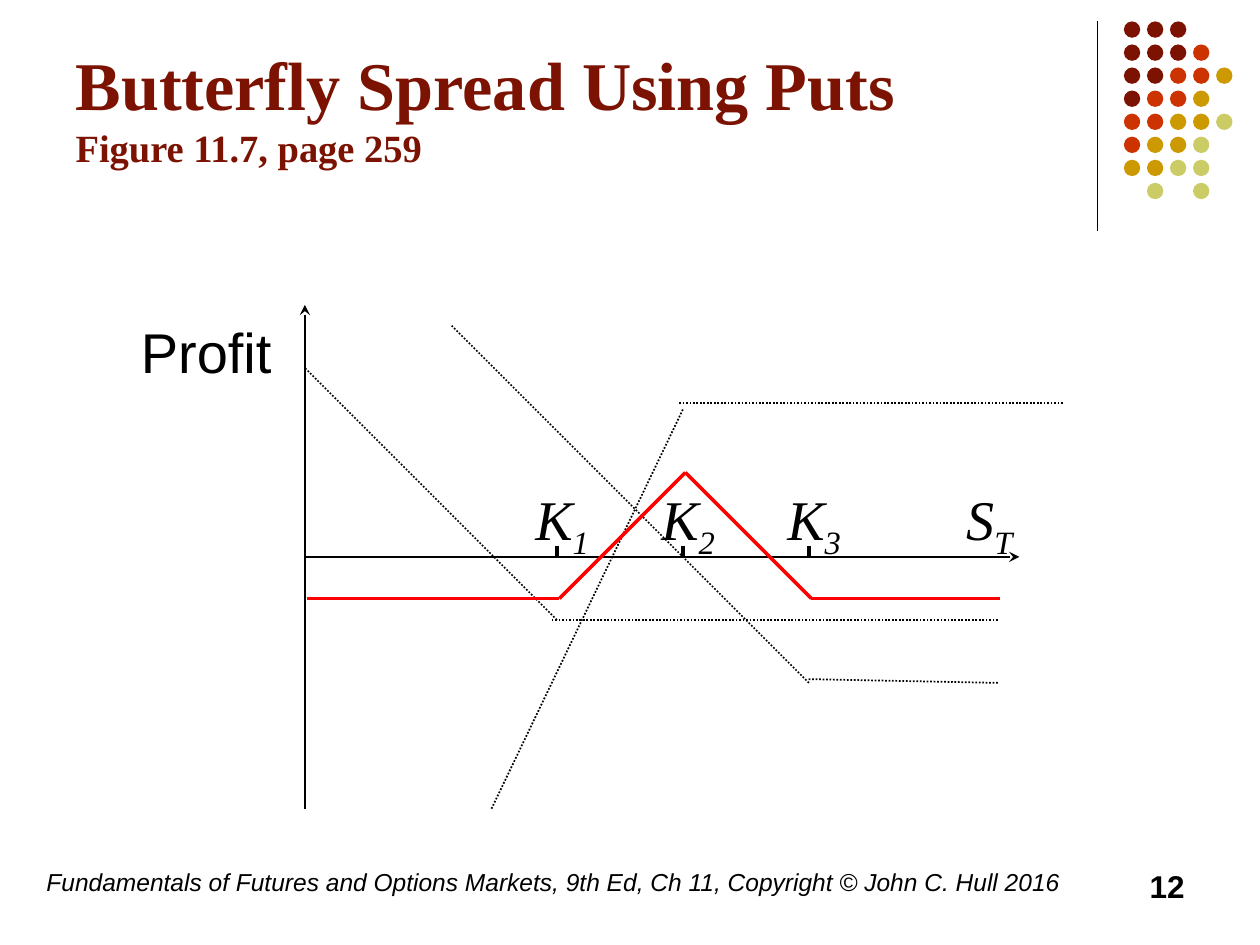
from pptx import Presentation
from pptx.dml.color import RGBColor
from pptx.enum.dml import MSO_LINE
from pptx.enum.shapes import MSO_CONNECTOR, MSO_SHAPE
from pptx.enum.text import MSO_ANCHOR, MSO_AUTO_SIZE, PP_ALIGN
from pptx.oxml.ns import qn
from pptx.util import Inches, Pt
from lxml.etree import SubElement

SERIF, SANS = "Times New Roman", "Arial"
BLACK, MAROON, RED = "000000", "7C1302", "FF0000"

TITLE = [("Butterfly Spread Using Puts", 39), ("Figure 11.7, page 259", 22)]
FOOTER = ("Fundamentals of Futures and Options Markets, 9th Ed, Ch 11, "
          "Copyright © John C. Hull 2016")
PAGE_NUMBER = "12"

# One letter per dot, a space for a gap
DOT_COLORS = {"m": MAROON, "r": "CC3300", "g": "CC9900", "y": "CCCC66"}
DOT_ROWS = ["mmm", "mmmr", "mmrrg", "mrrg", "rrggy", "rggy", "ggyy", " y y"]
DOT_LEFT, DOT_TOP, DOT_PITCH, DOT_SIZE = 8.92, 0.17, 0.183, 0.13

ORIGIN_X, AXIS_Y = 2.42, 4.42
STRIKES = {"1": 4.42, "2": 5.42, "3": 6.42}
AXIS_LABELS = [("K", strike, x - 0.27, 0.64) for strike, x in STRIKES.items()]
AXIS_LABELS.append(("S", "T", 7.57, 0.59))

PUT_PAYOFFS = [
    [(7.92, 4.92), (4.38, 4.92)], [(4.42, 4.92), (ORIGIN_X, 2.92)],
    [(7.92, 5.42), (6.41, 5.39)], [(6.42, 5.42), (3.58, 2.58)],
    [(5.39, 3.2), (8.44, 3.2)], [(5.42, 3.25), (3.9, 6.42)],
]
SPREAD_PROFIT = [(2.44, 4.75), (4.44, 4.75), (5.44, 3.75),
                 (6.44, 4.75), (7.94, 4.75)]

prs = Presentation()
prs.slide_width, prs.slide_height = Inches(10), Inches(7.5)
slide = prs.slides.add_slide(prs.slide_layouts[5])


def rgb(color):
    return RGBColor.from_string(color)


def add_line(start, end, width=1, color=BLACK, dotted=False, arrow=None):
    """Draw a line; arrow is 'headEnd' (at start) or 'tailEnd' (at end)."""
    line = slide.shapes.add_connector(
        MSO_CONNECTOR.STRAIGHT, *[Inches(v) for v in (*start, *end)])
    line.line.width = Pt(width)
    line.line.color.rgb = rgb(color)
    if dotted:
        line.line.dash_style = MSO_LINE.ROUND_DOT
    properties = line._element.spPr
    if arrow:
        SubElement(properties.find(qn("a:ln")), qn("a:" + arrow), type="stealth")
    SubElement(properties, qn("a:effectLst"))


def add_run(paragraph, text, size, font=SANS, color=BLACK, bold=False, italic=False):
    run = paragraph.add_run()
    run.text = text
    run.font.name, run.font.size = font, Pt(size)
    run.font.bold, run.font.italic = bold, italic
    run.font.color.rgb = rgb(color)
    return run


def add_text_box(left, top, width, height, wrap=True):
    """Add an empty text box and return its first paragraph."""
    box = slide.shapes.add_textbox(*[Inches(v) for v in (left, top, width, height)])
    box.text_frame.word_wrap = wrap
    return box.text_frame.paragraphs[0]


def add_dots():
    for row, letters in enumerate(DOT_ROWS):
        for column, letter in enumerate(letters):
            if letter == " ":
                continue
            dot = slide.shapes.add_shape(
                MSO_SHAPE.OVAL, Inches(DOT_LEFT + column * DOT_PITCH),
                Inches(DOT_TOP + row * DOT_PITCH), Inches(DOT_SIZE), Inches(DOT_SIZE))
            dot.shadow.inherit = False
            dot.fill.solid()
            dot.fill.fore_color.rgb = rgb(DOT_COLORS[letter])
            dot.line.fill.background()


def add_title():
    title = slide.shapes.title
    title.left, title.top = Inches(0.5), Inches(0.13)
    title.width, title.height = Inches(8.25), Inches(1.42)
    frame = title.text_frame
    frame.auto_size = MSO_AUTO_SIZE.NONE
    frame.vertical_anchor = MSO_ANCHOR.MIDDLE
    heading = frame.paragraphs[0]
    heading.alignment = PP_ALIGN.LEFT
    for index, (text, size) in enumerate(TITLE):
        if index:
            heading.add_line_break()
        add_run(heading, text, size, SERIF, MAROON, bold=True)


def add_axes():
    add_line((ORIGIN_X, 2.42), (ORIGIN_X, 6.42), arrow="headEnd")
    add_line((ORIGIN_X, AXIS_Y), (8.09, AXIS_Y), arrow="tailEnd")
    for x in STRIKES.values():
        add_line((x, AXIS_Y), (x, AXIS_Y - 0.09), width=2)
    for letter, index, left, width in AXIS_LABELS:
        label = add_text_box(left, 3.8, width, 0.63, wrap=False)
        add_run(label, letter, 32, SERIF, italic=True)
        subscript = add_run(label, index, 32, SERIF, italic=True)
        subscript._r.get_or_add_rPr().set("baseline", "-25000")
    add_run(add_text_box(1.02, 2.47, 2.63, 0.64), "Profit", 32)


add_line((8.71, 0.17), (8.71, 1.83), width=0.75)
add_dots()
add_title()
add_axes()
for start, end in PUT_PAYOFFS:
    add_line(start, end, dotted=True)
for start, end in zip(SPREAD_PROFIT, SPREAD_PROFIT[1:]):
    add_line(start, end, width=2, color=RED)

add_run(add_text_box(0.27, 6.83, 8.27, 0.5), FOOTER, 14, italic=True)
page = add_text_box(7.17, 6.83, 2.33, 0.5)
page.alignment = PP_ALIGN.RIGHT
add_run(page, PAGE_NUMBER, 18, bold=True)

prs.save("out.pptx")
